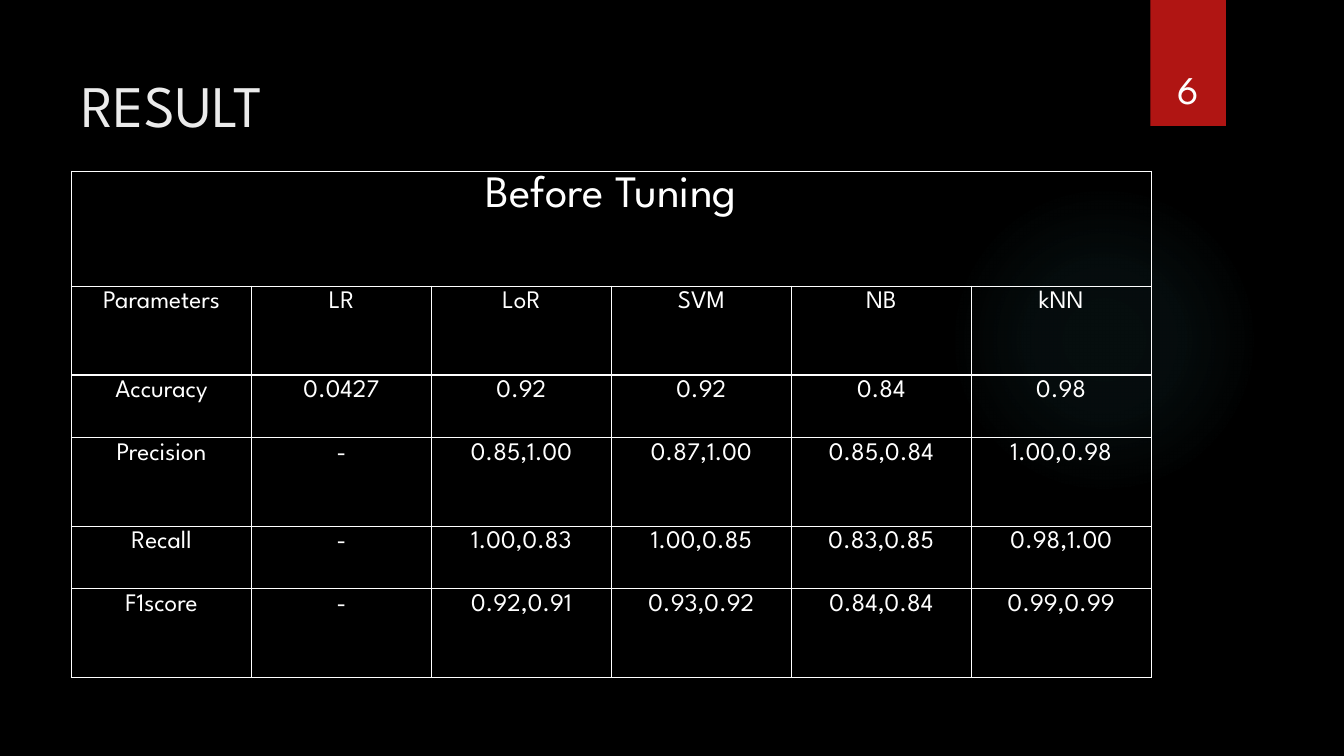
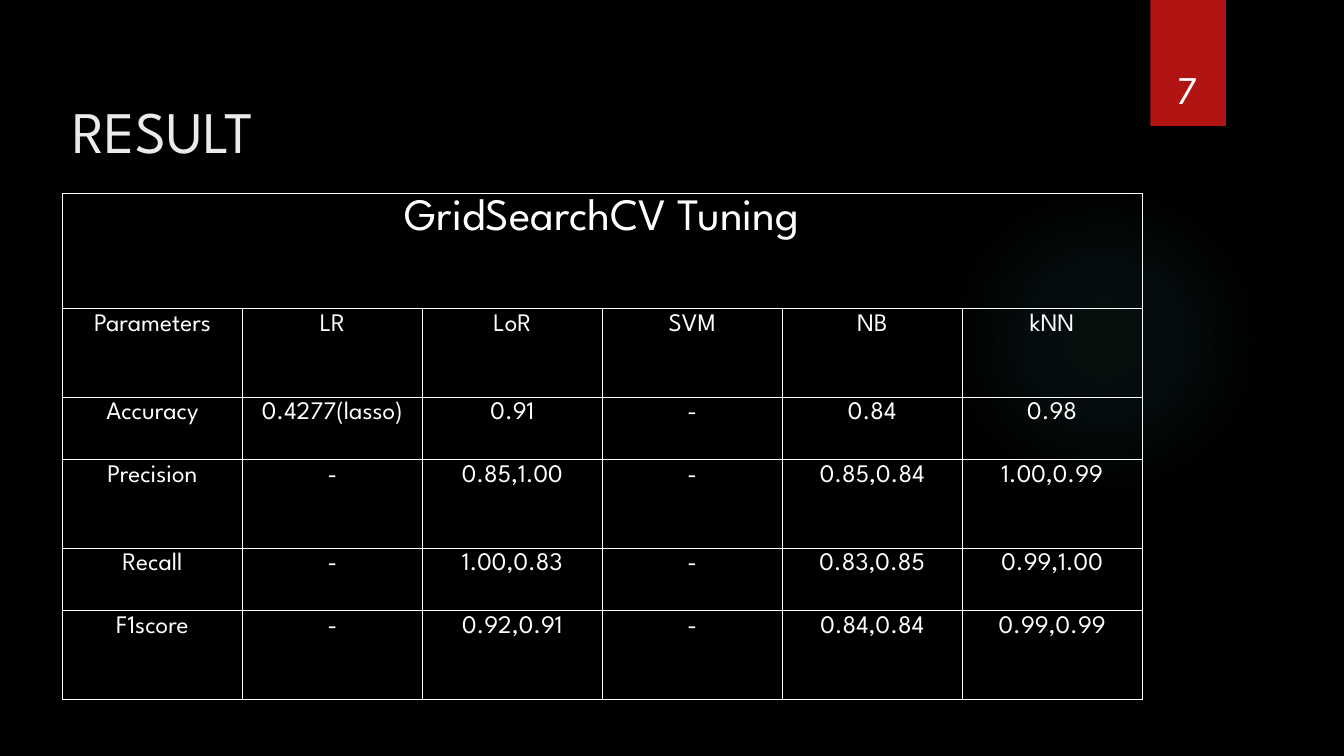
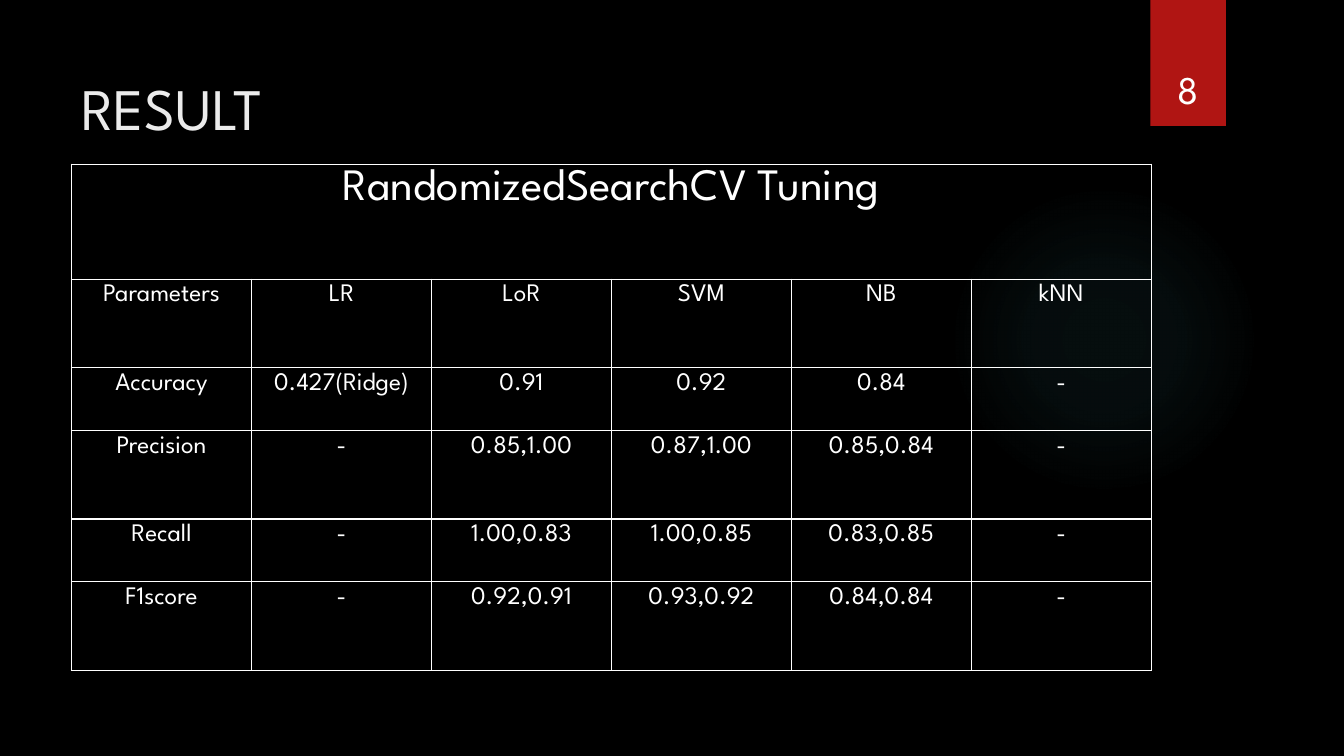
from dataclasses import dataclass

from pptx import Presentation
from pptx.dml.color import RGBColor
from pptx.enum.shapes import MSO_SHAPE as Preset
from pptx.enum.text import MSO_ANCHOR as Anchor, MSO_AUTO_SIZE as AutoSize, PP_ALIGN as Align
from pptx.oxml import parse_xml
from pptx.oxml.ns import nsdecls, qn
from pptx.util import Inches, Pt

FONT = "League Spartan"
BLACK, WHITE, TITLE_GREY = "000000", "FFFFFF", "EBEBEB"
RED, TEAL = "B01513", "50B9C1"
GLOW_STOPS = ((0, 7), (36, 6), (69, 0))
FIRST_NUMBER = 6
TABLE_WIDTH = 10.71
ROW_HEIGHTS = (1.14, 0.88, 0.62, 0.88, 0.62, 0.88)
HEADINGS = ("Parameters", "LR", "LoR", "SVM", "NB", "kNN")
MEASURES = ("Accuracy", "Precision", "Recall", "F1score")
BLANK_SCORES = ("-",) * 4
LOGISTIC_TUNED = ("0.91", "0.85,1.00", "1.00,0.83", "0.92,0.91")
SUPPORT_VECTOR = ("0.92", "0.87,1.00", "1.00,0.85", "0.93,0.92")
NAIVE_BAYES = ("0.84", "0.85,0.84", "0.83,0.85", "0.84,0.84")


@dataclass(frozen=True)
class ResultPage:
    caption: str
    left: float
    title_top: float
    title_height: float
    table_top: float
    scores: tuple[tuple[str, ...], ...]


RESULTS = (
    ResultPage("Before Tuning", 0.71, 0.47, 1, 1.7, (
        ("0.0427", "-", "-", "-"),
        ("0.92", "0.85,1.00", "1.00,0.83", "0.92,0.91"),
        SUPPORT_VECTOR,
        NAIVE_BAYES,
        ("0.98", "1.00,0.98", "0.98,1.00", "0.99,0.99"),
    )),
    ResultPage("GridSearchCV Tuning", 0.62, 0.73, 0.81, 1.92, (
        ("0.4277(lasso)", "-", "-", "-"),
        LOGISTIC_TUNED,
        BLANK_SCORES,
        NAIVE_BAYES,
        ("0.98", "1.00,0.99", "0.99,1.00", "0.99,0.99"),
    )),
    ResultPage("RandomizedSearchCV Tuning", 0.71, 0.5, 0.9, 1.63, (
        ("0.427(Ridge)", "-", "-", "-"),
        LOGISTIC_TUNED,
        SUPPORT_VECTOR,
        NAIVE_BAYES,
        BLANK_SCORES,
    )),
)


def color(value: str) -> RGBColor:
    return RGBColor.from_string(value)


def write(frame, text: str, size: float, ink: str, align: Align) -> None:
    frame.text = text
    para = frame.paragraphs[0]
    para.alignment = align
    for span in para.runs:
        span.font.name = FONT
        span.font.size = Pt(size)
        span.font.color.rgb = color(ink)


def add_plain_shape(page, preset: Preset, left: float, top: float, width: float, height: float):
    shape = page.shapes.add_shape(preset, Inches(left), Inches(top), Inches(width), Inches(height))
    shape.shadow.inherit = False
    shape.line.fill.background()
    return shape


def fill_with_glow(shape) -> None:
    stops = "".join(
        f'<a:gs pos="{place * 1000}"><a:srgbClr val="{TEAL}">'
        f'<a:alpha val="{opacity * 1000}"/></a:srgbClr></a:gs>'
        for place, opacity in GLOW_STOPS
    )
    gradient = parse_xml(
        f'<a:gradFill {nsdecls("a")} rotWithShape="1"><a:gsLst>{stops}</a:gsLst>'
        '<a:path path="circle"><a:fillToRect l="50000" t="50000" r="50000" b="50000"/>'
        '</a:path></a:gradFill>'
    )
    shape.fill.background()
    properties = shape.element.spPr
    properties.replace(properties.find(qn("a:noFill")), gradient)


def decorate_layout(layout, page) -> None:
    layout.background.fill.solid()
    layout.background.fill.fore_color.rgb = color(BLACK)
    glow = add_plain_shape(page, Preset.OVAL, 9.41, 1.83, 3.08, 3.08)
    fill_with_glow(glow)
    tab = add_plain_shape(page, Preset.RECTANGLE, 11.41, 0, 0.75, 1.25)
    tab.fill.solid()
    tab.fill.fore_color.rgb = color(RED)
    for number, shape in enumerate((glow, tab), start=20):
        shape.element.nvSpPr.cNvPr.set("id", str(number))
        layout.shapes.element.append(shape.element)


def set_title(page, result: ResultPage) -> None:
    title = page.shapes.title
    title.left, title.top = Inches(result.left), Inches(result.title_top)
    title.width, title.height = Inches(10.29), Inches(result.title_height)
    frame = title.text_frame
    frame.auto_size = AutoSize.NONE
    frame.vertical_anchor = Anchor.TOP
    frame.margin_top = Inches(0.21)
    write(frame, "RESULT", 42, TITLE_GREY, Align.LEFT)


def style_cell(cell) -> None:
    cell.fill.background()
    properties = cell._tc.get_or_add_tcPr()
    for place, side in enumerate(("lnL", "lnR", "lnT", "lnB")):
        properties.insert(place, parse_xml(
            f'<a:{side} {nsdecls("a")} w="{Pt(1)}"><a:solidFill>'
            f'<a:srgbClr val="{WHITE}"/></a:solidFill></a:{side}>'
        ))


def add_result_table(page, result: ResultPage) -> None:
    body = (HEADINGS, *zip(MEASURES, *result.scores))
    table = page.shapes.add_table(
        len(ROW_HEIGHTS), len(HEADINGS), Inches(result.left), Inches(result.table_top),
        Inches(TABLE_WIDTH), Inches(sum(ROW_HEIGHTS)),
    ).table
    table.first_row = table.horz_banding = False
    for column in table.columns:
        column.width = Inches(TABLE_WIDTH / len(HEADINGS))
    for row, height in zip(table.rows, ROW_HEIGHTS):
        row.height = Inches(height)
    for cell in table.iter_cells():
        style_cell(cell)
    caption = table.cell(0, 0)
    caption.merge(table.cell(0, len(HEADINGS) - 1))
    write(caption.text_frame, result.caption, 32, WHITE, Align.CENTER)
    for row, values in enumerate(body, start=1):
        for column, value in enumerate(values):
            write(table.cell(row, column).text_frame, value, 18, WHITE, Align.CENTER)


def add_page_number(page, number: int) -> None:
    box = page.shapes.add_textbox(Inches(11.32), Inches(0.32), Inches(0.92), Inches(0.84))
    box.text_frame.word_wrap = True
    box.text_frame.vertical_anchor = Anchor.BOTTOM
    write(box.text_frame, str(number), 28, WHITE, Align.CENTER)


def main() -> None:
    deck = Presentation()
    deck.slide_width, deck.slide_height = Inches(13.33), Inches(7.5)
    layout = deck.slide_layouts.get_by_name("Title Only")
    for number, result in enumerate(RESULTS, start=FIRST_NUMBER):
        page = deck.slides.add_slide(layout)
        if number == FIRST_NUMBER:
            decorate_layout(layout, page)
        set_title(page, result)
        add_result_table(page, result)
        add_page_number(page, number)
    deck.save("out.pptx")


if __name__ == "__main__":
    main()
